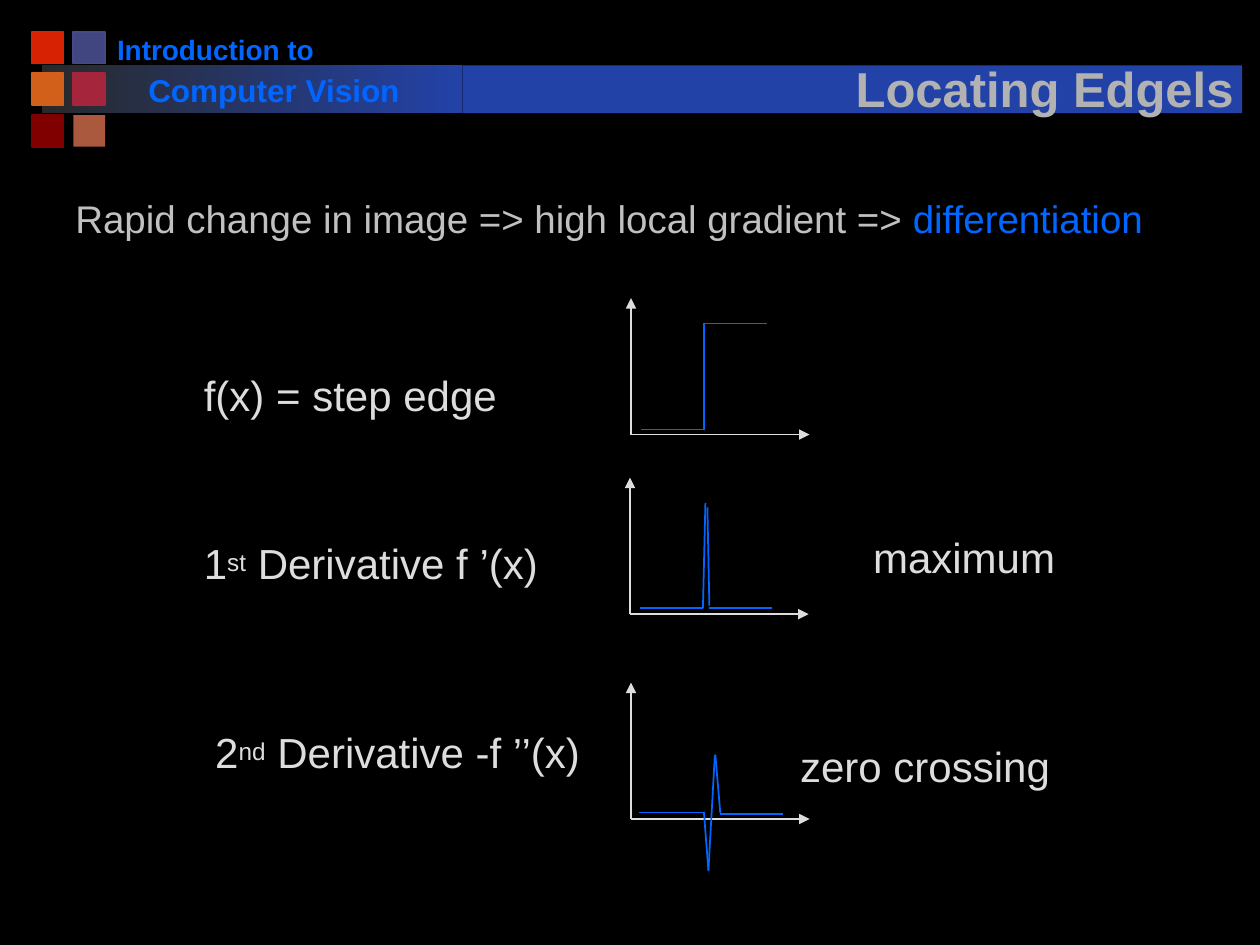
from dataclasses import dataclass

from lxml import etree
from pptx import Presentation
from pptx.dml.color import RGBColor
from pptx.enum.shapes import MSO_CONNECTOR, MSO_SHAPE
from pptx.enum.text import MSO_ANCHOR, PP_ALIGN
from pptx.oxml.ns import qn
from pptx.util import Cm, Pt

RECT = MSO_SHAPE.RECTANGLE
LINE = MSO_CONNECTOR.STRAIGHT
CENTER = PP_ALIGN.CENTER
BOTTOM = MSO_ANCHOR.BOTTOM


@dataclass(frozen=True)
class Theme:
    font: str = "Arial"
    back: str = "000000"
    dark: str = "292929"
    band: str = "2242A8"
    blue: str = "0066FF"
    pale: str = "DDDDDD"
    body: str = "C0C0C0"
    title: str = "B2B2B2"
    head_size: int = 16
    name_size: int = 18
    body_size: int = 22
    label_size: int = 24
    title_size: int = 28
    stroke: int = 1


THEME = Theme()

# Fill and line colours, row by row
TILES = [
    [("D82204", "D82204"), ("424680", "454A85")],
    [("D2601A", "D2601A"), ("A5253D", "A5253D")],
    [("800000", "800000"), ("AA583E", None)],
]

# Origin of each plot, then its curve as segments relative to the origin
PLOTS = [
    ((12.72, 8.76), [
        (0.2, -0.1, 1.47, -0.1),
        (1.47, -2.24, 2.74, -2.24),
        (1.47, -2.24, 1.47, -0.1),
    ]),
    ((12.7, 12.38), [
        (0.2, -0.12, 1.47, -0.12),
        (1.6, -0.12, 2.87, -0.12),
        (1.52, -2.24, 1.47, -0.12),
        (1.56, -2.15, 1.6, -0.17),
    ]),
    ((12.72, 16.51), [
        (0.17, -0.13, 1.45, -0.13),
        (1.8, -0.1, 3.07, -0.1),
        (1.69, -1.28, 1.56, 1.05),
        (1.47, -0.14, 1.56, 1.03),
        (1.7, -1.3, 1.8, -0.12),
    ]),
]

# Left, top, width, then text runs; a run marked "sup" is raised
LABELS = [
    (3.86, 7.32, 6.43, [("f(x) = step edge", "")]),
    (3.86, 10.72, 7.32, [("1", ""), ("st", "sup"), (" Derivative f ’(x)", "")]),
    (4.09, 14.53, 7.98, [("2", ""), ("nd", "sup"), (" Derivative -f ’’(x)", "")]),
    (17.35, 10.59, 4.19, [("maximum", "")]),
    (15.88, 14.81, 5.56, [("zero crossing", "")]),
]


def rgb(code):
    return RGBColor.from_string(code)


def add_rect(slide, box, fill, line=None):
    shape = slide.shapes.add_shape(RECT, *map(Cm, box))
    shape.shadow.inherit = False
    shape.fill.solid()
    shape.fill.fore_color.rgb = rgb(fill)
    if line:
        shape.line.color.rgb = rgb(line)
        shape.line.width = Pt(THEME.stroke)
    else:
        shape.line.fill.background()
    return shape


def add_text(slide, box, runs, size, color, bold=False, wrap=False):
    """Add a one-paragraph text box from (text, mark) runs."""
    frame = slide.shapes.add_textbox(*map(Cm, box)).text_frame
    frame.word_wrap = wrap
    para = frame.paragraphs[0]
    font = para.font
    font.name, font.size, font.bold = THEME.font, Pt(size), bold
    font.color.rgb = rgb(color)
    for text, mark in runs:
        run = para.add_run()
        run.text = text
        if mark == "sup":
            run.font._element.set("baseline", "20000")
        elif mark:
            run.font.color.rgb = rgb(mark)
    return frame


def add_line(slide, start, end, color, arrow=False):
    line = slide.shapes.add_connector(LINE, *map(Cm, (*start, *end)))
    line.line.color.rgb = rgb(color)
    line.line.width = Pt(THEME.stroke)
    if arrow:
        stroke = line.line._get_or_add_ln()
        etree.SubElement(stroke, qn("a:tailEnd"), type="triangle")
    etree.SubElement(line._element.spPr, qn("a:effectLst"))


def add_plot(slide, origin, curve):
    """Draw both axes and the curve of one function."""
    x, y = origin
    for end in ((x, y - 2.75), (x + 3.6, y)):
        add_line(slide, origin, end, THEME.pale, arrow=True)
    for x1, y1, x2, y2 in curve:
        add_line(slide, (x + x1, y + y1), (x + x2, y + y2), THEME.blue)


def add_header(slide):
    fade = add_rect(slide, (0.84, 1.32, 8.48, 0.96), THEME.band).fill
    fade.gradient()
    fade.gradient_angle = 0
    for stop, color in zip(fade.gradient_stops, (THEME.dark, THEME.band)):
        stop.color.rgb = rgb(color)
        stop.position = float(color == THEME.band)
    add_rect(slide, (9.32, 1.32, 15.72, 0.96), THEME.band)
    for row, pairs in enumerate(TILES):
        for col, (fill, line) in enumerate(pairs):
            box = (0.64 + 0.84 * col, 0.64 + 0.84 * row, 0.64, 0.64)
            add_rect(slide, box, fill, line)
    add_text(slide, (2.11, 0.53, 4.5, 0.94), [("Introduction to", "")],
             THEME.head_size, THEME.blue, bold=True)
    add_text(slide, (2.74, 1.3, 6.43, 1.02), [("Computer Vision", "")],
             THEME.name_size, THEME.blue, bold=True, wrap=True)


def add_title(slide):
    frame = add_text(slide, (16.92, 0.79, 8.28, 1.7),
                     [("Locating Edgels", "")],
                     THEME.title_size, THEME.title, bold=True, wrap=True)
    frame.vertical_anchor = BOTTOM
    para = frame.paragraphs[0]
    para.alignment = CENTER
    glow = etree.SubElement(para.runs[0].font._element, qn("a:effectLst"))
    shade = etree.SubElement(glow, qn("a:outerShdw"),
                             dist=str(Pt(2)), dir="2700000")
    etree.SubElement(shade, qn("a:srgbClr"), val=THEME.back)


def add_body(slide):
    runs = [("Rapid change in image => high local gradient => ", ""),
            ("differentiation", THEME.blue)]
    frame = add_text(slide, (1.27, 3.81, 23.06, 1.27), runs,
                     THEME.body_size, THEME.body, wrap=True)
    props = frame.paragraphs[0]._p.get_or_add_pPr()
    props.set("marL", str(Cm(0.95)))
    props.set("indent", str(Cm(-0.95)))


def main():
    deck = Presentation()
    deck.slide_width, deck.slide_height = Cm(25.4), Cm(19.05)
    slide = deck.slides.add_slide(deck.slide_layouts[6])
    slide.background.fill.solid()
    slide.background.fill.fore_color.rgb = rgb(THEME.back)
    add_header(slide)
    add_title(slide)
    add_body(slide)
    for origin, curve in PLOTS:
        add_plot(slide, origin, curve)
    for left, top, width, runs in LABELS:
        add_text(slide, (left, top, width, 1.27), runs,
                 THEME.label_size, THEME.pale)
    deck.save("out.pptx")


if __name__ == "__main__":
    main()
